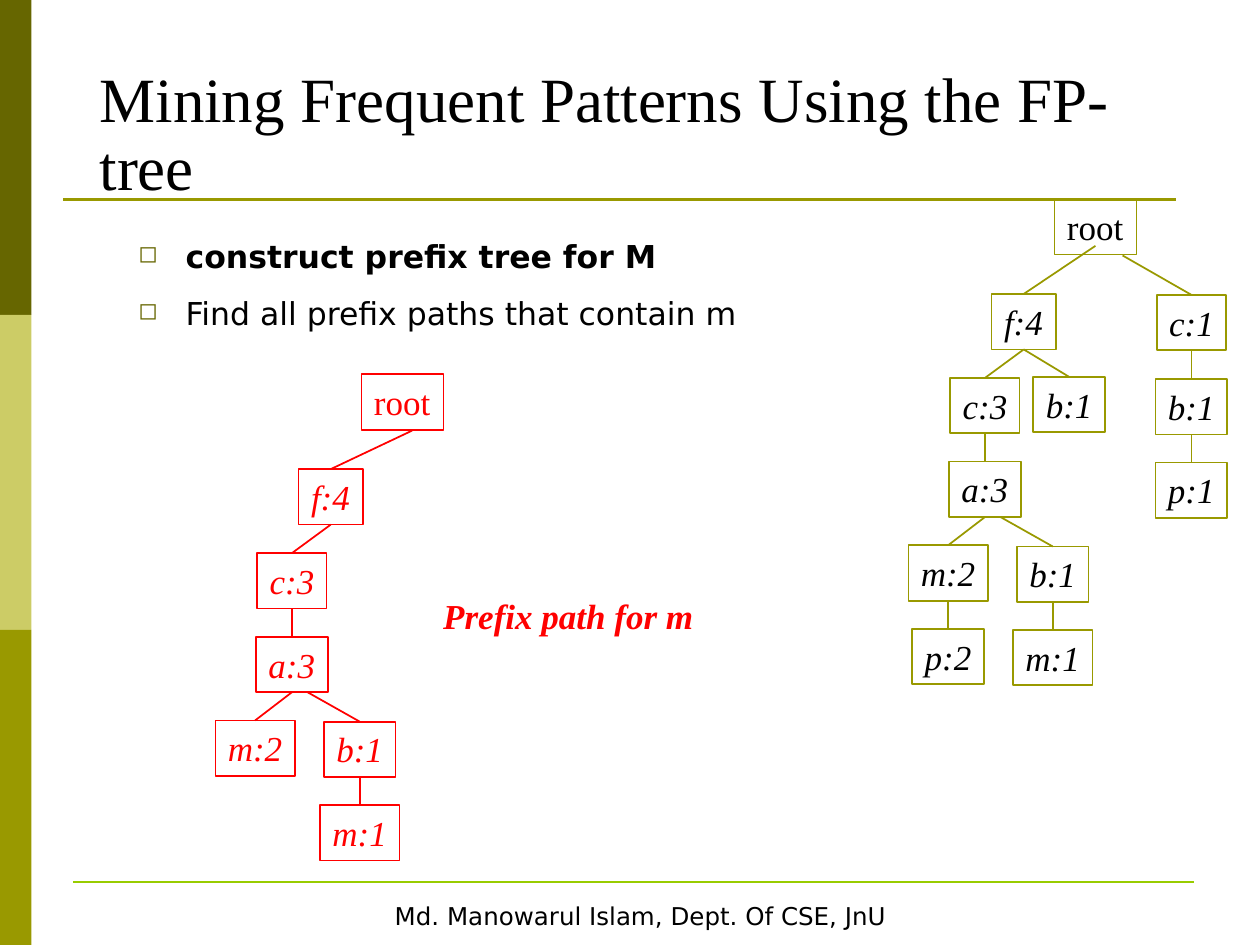
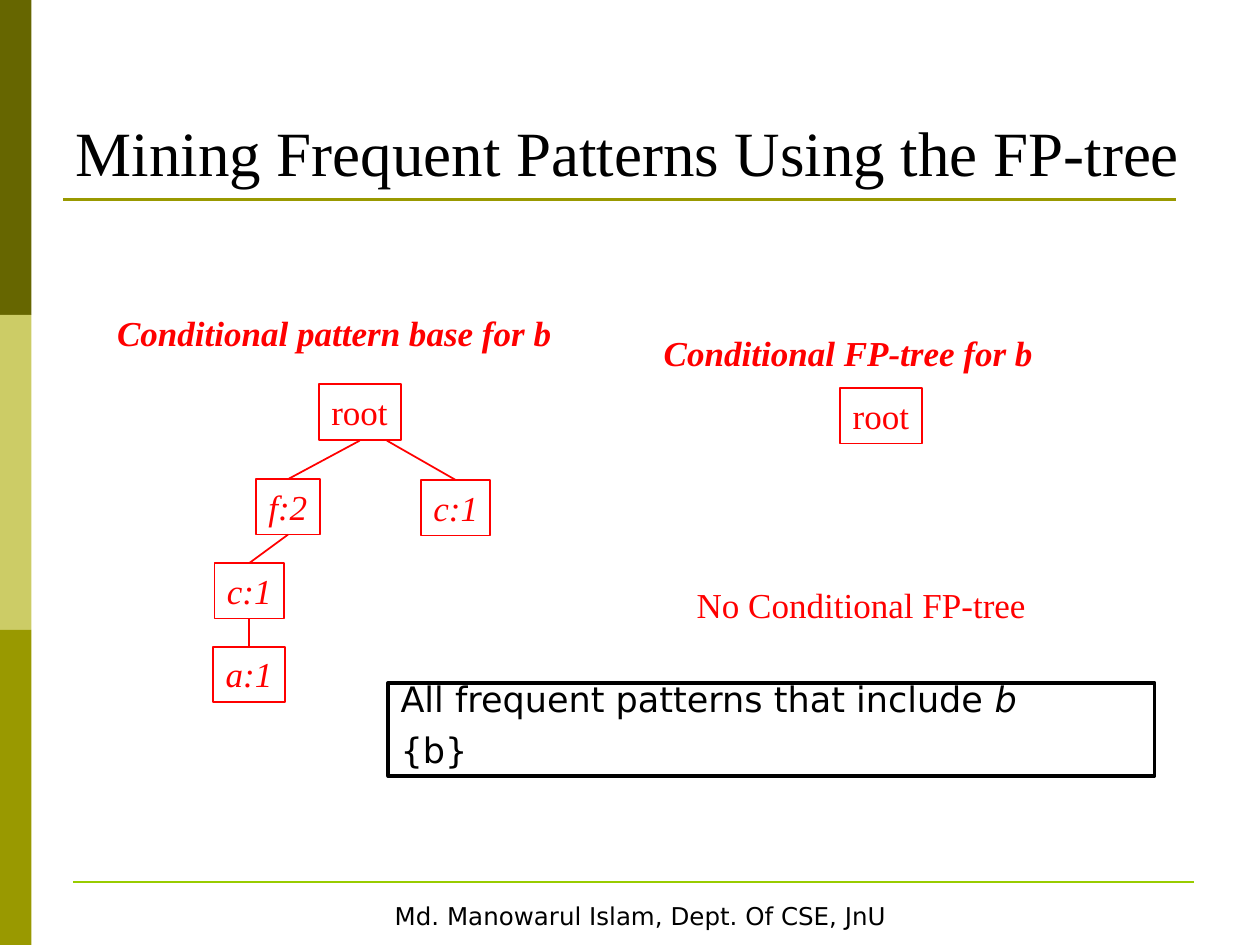
"""Build two slides on mining frequent patterns with an FP-tree."""
from lxml import etree
from pptx import Presentation
from pptx.dml.color import RGBColor
from pptx.enum import shapes, text
from pptx.oxml import ns
from pptx.util import Pt

COLORS = {"black": "000000", "white": "FFFFFF", "red": "FF0000", "olive": "999900",
          "dark_olive": "666600", "pale_olive": "CCCC66", "green": "98CC00"}
SERIF, SANS = "Times New Roman", "DejaVu Sans"


def add_line(slide, start, end, color, width=1):
    line = slide.shapes.add_connector(shapes.MSO_CONNECTOR.STRAIGHT,
                                      Pt(start[0]), Pt(start[1]), Pt(end[0]), Pt(end[1]))
    line.line.color.rgb = RGBColor.from_string(COLORS[color])
    line.line.width = Pt(width)
    etree.SubElement(line._element.spPr, ns.qn("a:effectLst"))


def add_box(slide, at, paragraphs=(), color="black", font=SERIF, size=20,
            fill=None, outline=None, outline_width=1, wrap=False):
    """Add a rectangle; each paragraph is a list of (text, style) runs, style from "b" and "i"."""
    box = slide.shapes.add_shape(shapes.MSO_SHAPE.RECTANGLE, *[Pt(value) for value in at])
    box.shadow.inherit = False
    if fill:
        box.fill.solid()
        box.fill.fore_color.rgb = RGBColor.from_string(COLORS[fill])
    else:
        box.fill.background()
    if outline:
        box.line.color.rgb = RGBColor.from_string(COLORS[outline])
        box.line.width = Pt(outline_width)
    else:
        box.line.fill.background()
    frame = box.text_frame
    frame.word_wrap = wrap
    frame.vertical_anchor = text.MSO_ANCHOR.TOP
    for index, runs in enumerate(paragraphs):
        paragraph = frame.paragraphs[0] if index == 0 else frame.add_paragraph()
        paragraph.alignment = text.PP_ALIGN.LEFT
        for words, style in runs:
            run = paragraph.add_run()
            run.text = words
            run.font.name = font
            run.font.size = Pt(size)
            run.font.bold = "b" in style
            run.font.italic = "i" in style
            run.font.color.rgb = RGBColor.from_string(COLORS[color])
    return box


presentation = Presentation()
presentation.slide_width, presentation.slide_height = Pt(720), Pt(540)

titles = [((49.7, 36, 642.2, 84.2), 0.9), ((36, 21.6, 648, 90), 1.0)]
for title_at, spacing in titles:
    slide = presentation.slides.add_slide(presentation.slide_layouts[5])
    title = slide.shapes.title
    title.left, title.top, title.width, title.height = [Pt(value) for value in title_at]
    title.text_frame.word_wrap = True
    title.text_frame.auto_size = text.MSO_AUTO_SIZE.NONE
    title.text_frame.vertical_anchor = text.MSO_ANCHOR.BOTTOM
    paragraph = title.text_frame.paragraphs[0]
    paragraph.alignment = text.PP_ALIGN.LEFT
    paragraph.line_spacing = spacing
    run = paragraph.add_run()
    run.text = "Mining Frequent Patterns Using the FP-tree"
    run.font.name = SERIF
    run.font.size = Pt(36)
    run.font.color.rgb = RGBColor.from_string(COLORS["black"])

    for row, band in enumerate(["dark_olive", "pale_olive", "olive"]):
        add_box(slide, (0, row * 180, 18, 180), fill=band)
    add_line(slide, (36, 114), (672, 114), "olive", 1.5)
    add_line(slide, (42, 504), (682.5, 504), "green", 1.5)
    footer = add_box(slide, (36, 511.2, 660, 25.2),
                     [[("Md. Manowarul Islam, Dept. Of CSE, JnU", "")]],
                     font=SANS, size=14, fill="white", outline="white", outline_width=2)
    footer.text_frame.paragraphs[0].alignment = text.PP_ALIGN.CENTER

prefix_slide, conditional_slide = presentation.slides

NODE_HEIGHT = 31.7
NODE_WIDTHS = {"r": 46.8, "f": 36.7, "c": 39.6, "a": 41, "b": 41, "p": 41, "m": 45.4}
node_places = {
    "root": (626, 113.8), "f": (585, 168), "c": (562.8, 216), "a": (562.8, 263.8),
    "m": (541.8, 311.6), "p": (541.8, 359.4), "b_low": (601.6, 312.3), "m_low": (601.6, 360),
    "b_mid": (611, 215.4), "c_right": (680.8, 168.5), "b_right": (680.8, 216.6),
    "p_right": (680.8, 264.4)}
parents = {"f": "root", "c": "f", "a": "c", "m": "a", "p": "m", "b_low": "a",
           "m_low": "b_low", "b_mid": "f", "c_right": "root", "b_right": "c_right",
           "p_right": "b_right"}
edge_shifts = {"c_right": (15.5, 0.5), "b_low": (9, 0)}

prefix_labels = {"root": "root", "f": "f:4", "c": "c:3", "a": "a:3", "m": "m:2",
                 "b_low": "b:1", "m_low": "m:1"}
full_labels = {**prefix_labels, "p": "p:2", "b_mid": "b:1", "c_right": "c:1",
               "b_right": "b:1", "p_right": "p:1"}
base_labels = {"root": "root", "f": "f:2", "c": "c:1", "a": "a:1", "c_right": "c:1"}

trees = [
    (prefix_slide, prefix_labels, (-396, 100.1), "red", "red", (5.5, 0.5)),
    (prefix_slide, full_labels, (0, 0), "black", "olive", (0, -5)),
    (conditional_slide, base_labels, (-420.4, 105.8), "red", "red", (0, 0.5)),
    (conditional_slide, {"root": "root"}, (-122.4, 108), "red", "red", (0, 0)),
]
for slide, labels, (left, top), color, outline, first_shift in trees:
    for node, label in labels.items():
        x, y = node_places[node]
        width = NODE_WIDTHS[label[0]]
        style = "" if node == "root" else "i"
        add_box(slide, (left + x - width / 2, top + y, width, NODE_HEIGHT),
                [[(label, style)]], color, outline=outline)
        if node in parents:
            parent_x, parent_y = node_places[parents[node]]
            shift = first_shift if node == "f" else edge_shifts.get(node, (0, 0))
            add_line(slide, (left + parent_x + shift[0],
                             top + parent_y + NODE_HEIGHT + shift[1]),
                     (left + x, top + y), outline)

captions = [
    (prefix_slide, (246.2, 336.2, 300, 31.7), "Prefix path for m", "bi"),
    (conditional_slide, (59.8, 174.2, 300, 31.7), "Conditional pattern base for b", "bi"),
    (conditional_slide, (372.2, 185.8, 300, 31.7), "Conditional FP-tree for b", "bi"),
    (conditional_slide, (391, 329.8, 202.3, 31.7), "No Conditional FP-tree", ""),
]
for slide, at, caption, style in captions:
    add_box(slide, at, [[(caption, style)]], "red", wrap=bool(style))

steps = add_box(prefix_slide, (72, 131.8, 620, 131.8),
                [[("construct prefix tree for M", "b")],
                 [("Find all prefix paths that contain m", "")]],
                font=SANS, size=18, wrap=True)
for paragraph in steps.text_frame.paragraphs:
    properties = paragraph._p.get_or_add_pPr()
    properties.set("marL", str(Pt(27)))
    properties.set("indent", str(Pt(-27)))
    bullet_color = etree.SubElement(properties, ns.qn("a:buClr"))
    etree.SubElement(bullet_color, ns.qn("a:srgbClr"), val=COLORS["dark_olive"])
    etree.SubElement(properties, ns.qn("a:buSzPct"), val="75000")
    etree.SubElement(properties, ns.qn("a:buChar"), char="◻")
steps.text_frame.paragraphs[1].space_before = Pt(11.2)

patterns = add_box(conditional_slide, (221.8, 390.2, 438, 53.3),
                   [[("All frequent patterns that include", ""), (" b", "i")], [("{b}", "")]],
                   font=SANS, fill="white", outline="black", outline_width=2, wrap=True)
for paragraph in patterns.text_frame.paragraphs:
    paragraph.line_spacing = 0.7
patterns.text_frame.paragraphs[1].space_before = Pt(12.5)

presentation.save("out.pptx")
